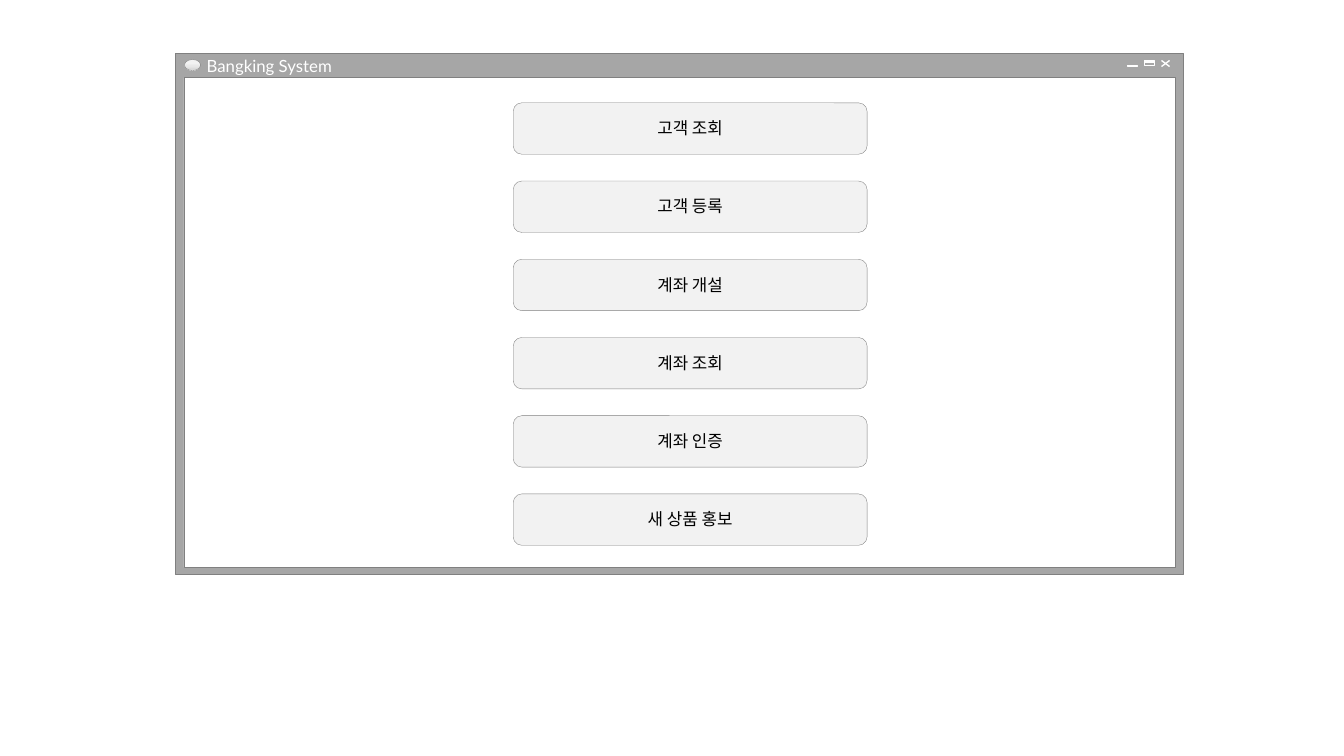
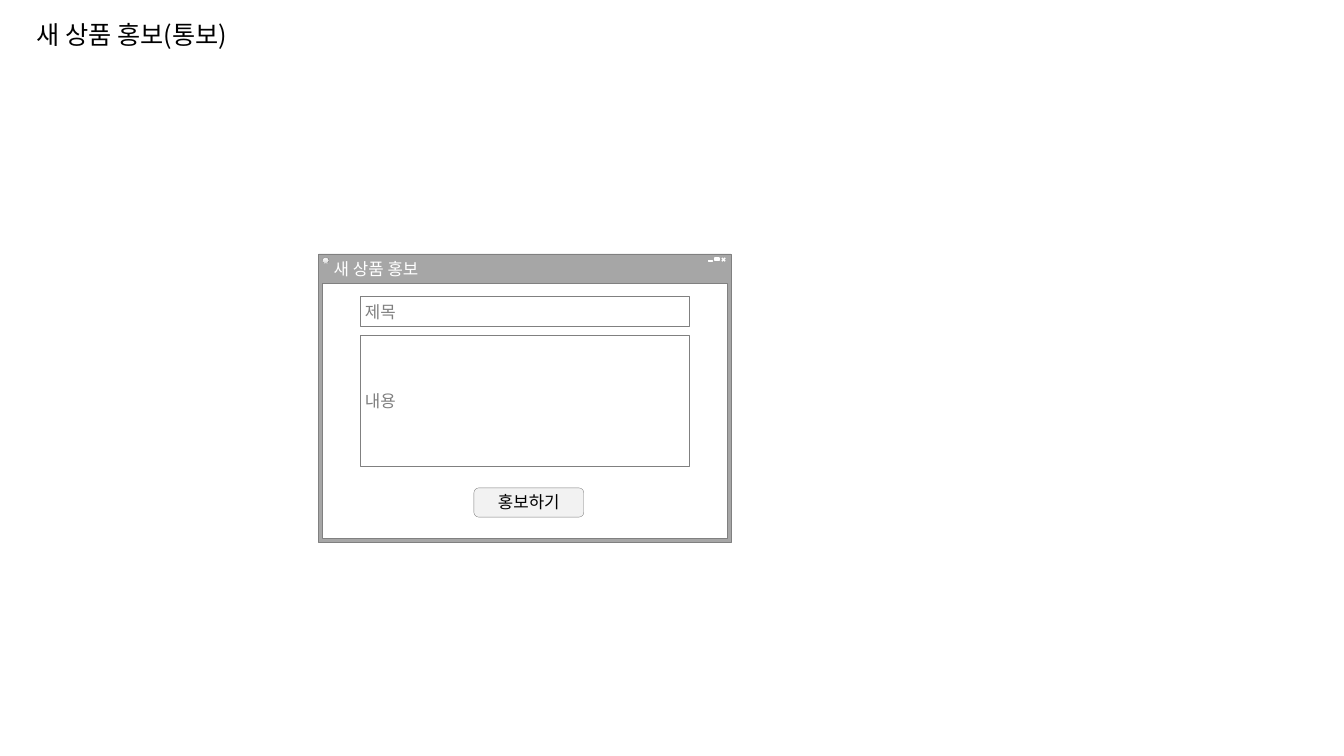
from copy import deepcopy

from pptx import Presentation
from pptx.dml.color import RGBColor
from pptx.enum import shapes, text
from pptx.oxml import ns
from pptx.util import Inches, Pt

MENU_WINDOW = dict(caption="Bangking System", box=(1.74, 0.53, 10, 5.17), bar=0.24, caption_left=0.26)
MENU_BUTTONS = ["고객 조회", "고객 등록", "계좌 개설", "계좌 조회", "계좌 인증", "새 상품 홍보"]
MENU_FIRST, MENU_STEP = (5.09, 1.02, 3.51, 0.51), 0.776

PROMO_TITLE = "새 상품 홍보(통보)"
PROMO_WINDOW = dict(caption="새 상품 홍보", box=(3.16, 2.52, 4.09, 2.86), bar=0.29, caption_left=0.1)
PROMO_FIELDS = [("제목", (3.57, 2.94, 3.27, 0.3)), ("내용", (3.57, 3.33, 3.27, 1.3))]
PROMO_BUTTON = ("홍보하기", (4.7, 4.84, 1.09, 0.29))

COLORS = dict(frame="A6A6A6", edge="808080", paper="FFFFFF", button="F2F2F2",
              shade="D9D9D9", icon="919191", ink="000000")
LATIN, KOREAN = "Lato", "Noto Sans CJK KR"
WINDOW_SIZE = (10, 5.17)  # the size for which the frame and icon offsets hold
RECT = shapes.MSO_SHAPE.RECTANGLE
ROUNDED = shapes.MSO_SHAPE.ROUNDED_RECTANGLE
LEFT, CENTER = text.PP_ALIGN.LEFT, text.PP_ALIGN.CENTER


def color(name):
    return RGBColor.from_string(COLORS[name])


def add_box(parent, kind, box, fill=None, line="edge", weight=0.25):
    shape = parent.add_shape(kind, *map(Inches, box))
    shape.shadow.inherit = False
    if fill:
        shape.fill.solid()
        shape.fill.fore_color.rgb = color(fill)
    else:
        shape.fill.background()
    shape.line.color.rgb = color(line)
    shape.line.width = Pt(weight)
    return shape


def write(shape, words, ink, size=12, latin=LATIN, align=LEFT,
          anchor=text.MSO_ANCHOR.MIDDLE, insets=(0.05, 0.02, 0.05, 0.02)):
    frame = shape.text_frame
    frame.text = words
    frame.word_wrap = True
    frame.auto_size = text.MSO_AUTO_SIZE.NONE
    frame.vertical_anchor = anchor
    (frame.margin_left, frame.margin_top,
     frame.margin_right, frame.margin_bottom) = map(Inches, insets)
    para = frame.paragraphs[0]
    para.alignment = align
    font = para.runs[0].font
    font.size, font.name = Pt(size), latin
    font.color.rgb = color(ink)
    east_asian = font._element.makeelement(ns.qn("a:ea"), {"typeface": KOREAN})
    font._element.find(ns.qn("a:latin")).addnext(east_asian)


def add_button(page, words, box):
    button = add_box(page.shapes, ROUNDED, box, "button")
    write(button, words, "ink", align=CENTER, insets=(0.1, 0, 0.1, 0.01))


def add_orb(parent, box):
    """Window icon with a three-stop vertical gradient."""
    orb = add_box(parent, shapes.MSO_SHAPE.OVAL, box)
    orb.fill.gradient()
    orb.fill.gradient_angle = 270
    stop_list = orb._element.spPr.find(".//" + ns.qn("a:gsLst"))
    stop_list.append(deepcopy(stop_list[-1]))
    stops = [(0.36, "button"), (0.91, "shade"), (1, "button")]
    for stop, (position, name) in zip(orb.fill.gradient_stops, stops):
        stop.position = position
        stop.color.rgb = color(name)


def add_window(page, caption, box, bar, caption_left):
    left, top, width, height = box
    scale_x, scale_y = width / WINDOW_SIZE[0], height / WINDOW_SIZE[1]

    def place(x, y, w, h):
        return left + x * scale_x, top + y * scale_y, w * scale_x, h * scale_y

    parts = page.shapes.add_group_shape().shapes
    add_box(parts, RECT, box, "frame")
    side, bottom = 0.085 * scale_x, 0.07 * scale_y
    add_box(parts, RECT, (left + side, top + bar, width - 2 * side, height - bar - bottom), "paper")

    label = parts.add_textbox(*map(Inches, (left + caption_left, top + 0.01, width / 2, bar - 0.01)))
    write(label, caption, "paper", insets=(0.05, 0.02, 0.1, 0.03))

    x, y, w, h = place(9.78, 0.07, 0.08, 0.06)
    for start, end in [(x, x + w), (x + w, x)]:
        stroke = parts.add_connector(shapes.MSO_CONNECTOR.STRAIGHT,
                                     *map(Inches, (start, y, end, y + h)))
        stroke.line.color.rgb = color("paper")
        stroke.line.width = Pt(1)
        properties = stroke._element.spPr
        properties.append(properties.makeelement(ns.qn("a:effectLst"), {}))

    add_box(parts, RECT, place(9.61, 0.08, 0.1, 0.01), "icon", "paper")
    add_box(parts, RECT, place(9.61, 0.07, 0.1, 0.05), None, "paper", 1)
    add_box(parts, RECT, place(9.44, 0.12, 0.1, 0.01), "icon", "paper")
    add_orb(parts, place(0.09, 0.06, 0.16, 0.11))


def build_menu(deck):
    page = deck.slides.add_slide(deck.slide_layouts[6])
    add_window(page, **MENU_WINDOW)
    left, top, width, height = MENU_FIRST
    for row, words in enumerate(MENU_BUTTONS):
        add_button(page, words, (left, top + row * MENU_STEP, width, height))


def build_promotion(deck):
    page = deck.slides.add_slide(deck.slide_layouts[5])
    title = page.shapes.title
    title.left, title.top, title.width, title.height = map(Inches, (0.26, 0.14, 4, 0.4))
    write(title, PROMO_TITLE, "ink", 18, KOREAN, anchor=text.MSO_ANCHOR.TOP,
          insets=(0.1, 0.05, 0.1, 0.05))
    add_window(page, **PROMO_WINDOW)
    for words, box in PROMO_FIELDS:
        write(add_box(page.shapes, RECT, box, "paper"), words, "edge")
    add_button(page, *PROMO_BUTTON)


def main():
    deck = Presentation()
    deck.slide_width, deck.slide_height = Inches(13.33), Inches(7.5)
    build_menu(deck)
    build_promotion(deck)
    deck.save("out.pptx")


if __name__ == "__main__":
    main()
